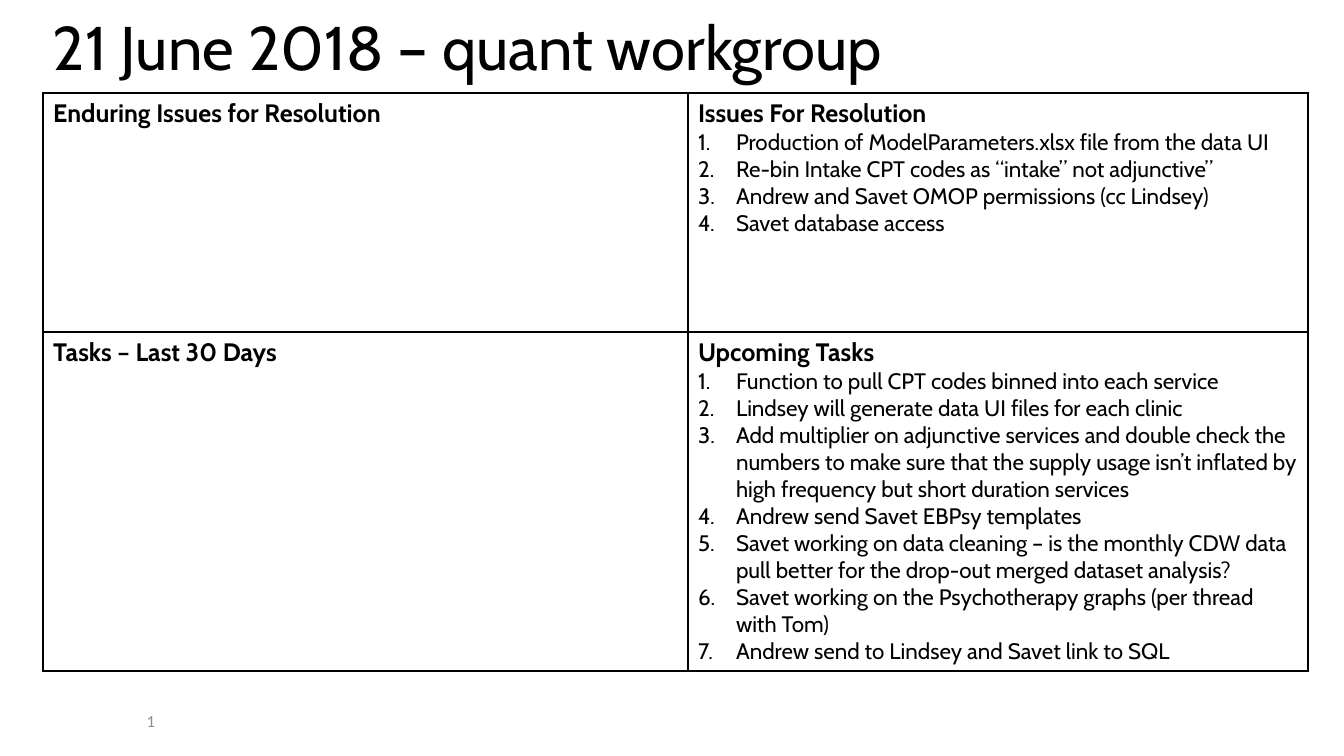
from lxml import etree
from pptx import Presentation, util as u
from pptx.dml.color import RGBColor
from pptx.enum import text
from pptx.oxml.ns import qn

TITLE = "21 June 2018 – quant workgroup"
PAGE = "1"
QUADRANTS = [
    [
        ("Enduring Issues for Resolution", []),
        ("Issues For Resolution", [
            "Production of ModelParameters.xlsx file from the data UI",
            "Re-bin Intake CPT codes as “intake” not adjunctive”",
            "Andrew and Savet OMOP permissions (cc Lindsey)",
            "Savet database access",
        ]),
    ],
    [
        ("Tasks – Last 30 Days", []),
        ("Upcoming Tasks", [
            "Function to pull CPT codes binned into each service",
            "Lindsey will generate data UI files for each clinic",
            "Add multiplier on adjunctive services and double check the numbers to make sure "
            "that the supply usage isn’t inflated by high frequency but short duration services",
            "Andrew send Savet EBPsy templates",
            "Savet working on data cleaning – is the monthly CDW data pull better for the "
            "drop-out merged dataset analysis?",
            "Savet working on the Psychotherapy graphs (per thread with Tom)",
            "Andrew send to Lindsey and Savet link to SQL",
        ]),
    ],
]
COLUMNS = [645, 620]
ROWS = [239, 339]
LEFT, TOP = 43, 93
INDENT = 38
BLACK, GREY = "000000", "8C8C8C"


def px(length):
    return u.Emu(round(length * 914400 / 100.8))


def style(paragraph, size, color=BLACK, face="Cabin", bold=False):
    font = paragraph.font
    font.size, font.name, font.bold = u.Pt(size), face, bold
    font.color.rgb = RGBColor.from_string(color)


def label(words, box, size, color, face):
    frame = slide.shapes.add_textbox(*map(px, box)).text_frame
    frame.word_wrap = True
    frame.vertical_anchor = text.MSO_ANCHOR.MIDDLE
    line = frame.paragraphs[0]
    line.text = words
    style(line, size, color, face)
    return line


def number(paragraph):
    props = paragraph._p.get_or_add_pPr()
    props.set("marL", str(px(INDENT)))
    props.set("indent", str(-px(INDENT)))
    marker = etree.Element(qn("a:buAutoNum"), type="arabicPeriod")
    props.insert_element_before(marker, "a:tabLst", "a:defRPr", "a:extLst")


def outline(cell):
    props = cell._tc.get_or_add_tcPr()
    for side in ("lnL", "lnR", "lnT", "lnB"):
        edge = etree.SubElement(props, qn("a:" + side), w=str(u.Pt(1)))
        fill = etree.SubElement(edge, qn("a:solidFill"))
        etree.SubElement(fill, qn("a:srgbClr"), val=BLACK)
    cell.fill.background()


deck = Presentation()
deck.slide_width, deck.slide_height = px(1344), px(756)
slide = deck.slides.add_slide(deck.slide_layouts[6])

heading = label(TITLE, (LEFT, 10, sum(COLUMNS), 81), 44, BLACK, "Cabin")
heading.line_spacing = 0.9

grid = slide.shapes.add_table(
    len(ROWS), len(COLUMNS), *map(px, (LEFT, TOP, sum(COLUMNS), sum(ROWS)))).table
grid.first_row = grid.horz_banding = False
for column, width in zip(grid.columns, COLUMNS):
    column.width = px(width)
for row, height, quadrants in zip(grid.rows, ROWS, QUADRANTS):
    row.height = px(height)
    for cell, (topic, items) in zip(row.cells, quadrants):
        outline(cell)
        frame = cell.text_frame
        frame.paragraphs[0].text = topic
        style(frame.paragraphs[0], 18, bold=True)
        for item in items:
            entry = frame.add_paragraph()
            entry.text = item
            style(entry, 16)
            number(entry)

page_number = label(PAGE, (0, 701, 302, 40), 12, GREY, "Calibri")
page_number.alignment = text.PP_ALIGN.CENTER

deck.save("out.pptx")
